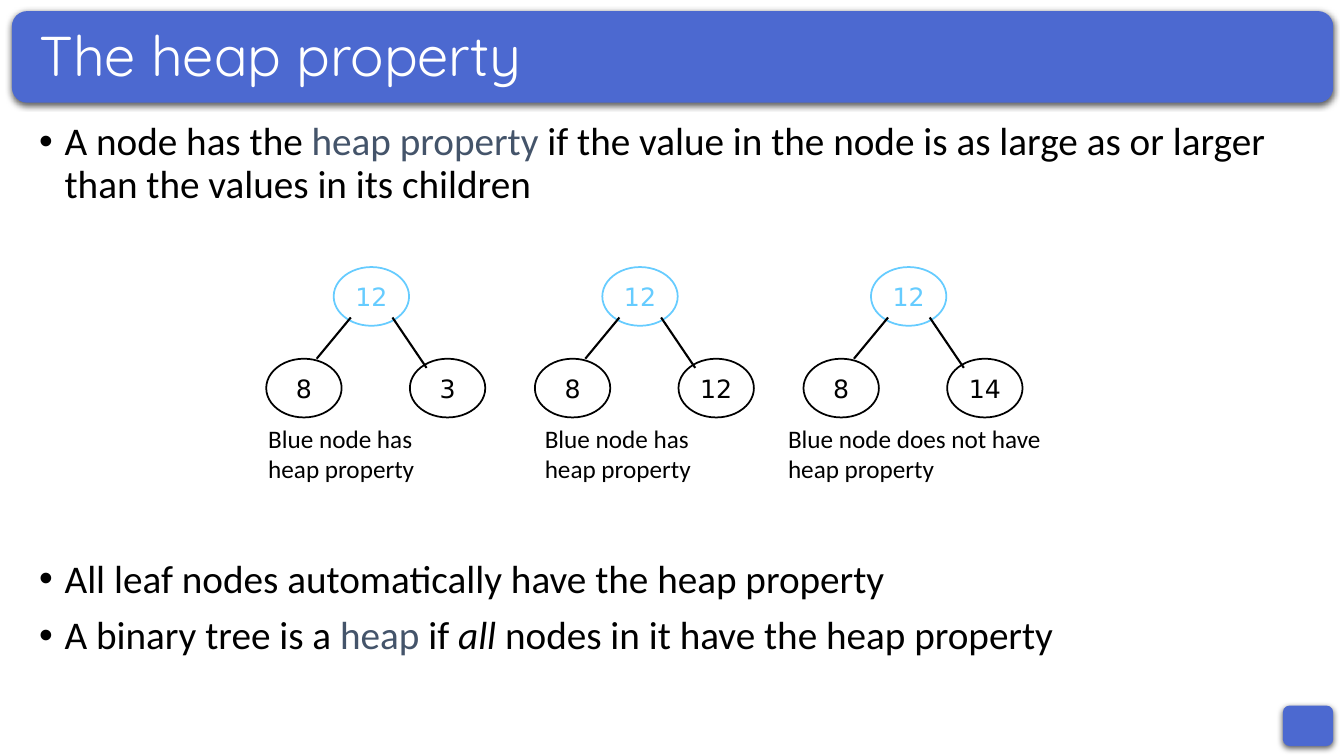
from dataclasses import dataclass

from lxml.etree import SubElement
from pptx import Presentation
from pptx.dml.color import RGBColor
from pptx.enum.shapes import MSO_CONNECTOR as LINE, MSO_SHAPE as SHAPE
from pptx.enum.text import MSO_ANCHOR as ANCHOR, PP_ALIGN as ALIGN
from pptx.oxml import parse_xml
from pptx.oxml.ns import nsdecls, qn
from pptx.util import Cm, Pt


@dataclass(frozen=True)
class Theme:
    bar: str = "4C69D0"
    title: str = "FFFFFF"
    ink: str = "000000"
    term: str = "44546A"
    blue: str = "66CCFF"
    title_font: str = "Quicksand"
    body_font: str = "Calibri"
    node_font: str = "DejaVu Sans"
    title_size: int = 40
    body_size: int = 28
    small_size: int = 18


T = Theme()
NODE_W, NODE_H = 1.9, 1.48
ROOT_Y, CHILD_Y = 6.73, 9.04
ROOT_DX, RIGHT_DX = 1.7, 3.62
EDGES = [(2.13, 8, 1.27, 9.04), (3.18, 8, 4.04, 9.27)]
TREE_X, TREE_STEP = 6.71, 6.77
# left value, right value, caption, caption offset, caption width
TREES = [
    ("8", "3", "Blue node has heap property", -0.2, 5.51),
    ("8", "12", "Blue node has heap property", 0, 5.51),
    ("8", "14", "Blue node does not have heap property", -0.64, 7.19),
]
# space before, runs of text, colour and italic
BULLETS = [
    (0, [("A node has the ", T.ink, False), ("heap property", T.term, False),
         (" if the value in the node is as large as or larger than the values in its children",
          T.ink, False)]),
    (252, [("All leaf nodes automatically have the heap property", T.ink, False)]),
    (10, [("A binary tree is a ", T.ink, False), ("heap", T.term, False),
          (" if ", T.ink, False), ("all", T.ink, True),
          (" nodes in it have the heap property", T.ink, False)]),
]


def add_run(p, text, font, size, color, italic=False):
    r = p.add_run()
    r.text = text
    r.font.name, r.font.size, r.font.italic = font, Pt(size), italic
    r.font.color.rgb = RGBColor.from_string(color)


def add_box(shapes, x, y, w, h):
    """Add an empty wrapping text box and return its text frame."""
    tf = shapes.add_textbox(Cm(x), Cm(y), Cm(w), Cm(h)).text_frame
    tf.word_wrap = True
    return tf


def add_bar(s, x, y, w, h):
    """Add a rounded bar with a soft shadow below it."""
    sp = s.shapes.add_shape(SHAPE.ROUNDED_RECTANGLE, Cm(x), Cm(y), Cm(w), Cm(h))
    sp.fill.solid()
    sp.fill.fore_color.rgb = RGBColor.from_string(T.bar)
    sp.line.fill.background()
    sp.shadow.inherit = False
    effects = sp.element.spPr.find(qn("a:effectLst"))
    effects.append(parse_xml(
        f'<a:outerShdw {nsdecls("a")} blurRad="{Pt(4.5)}" dist="{Pt(1.5)}" dir="5400000" '
        'algn="ctr" rotWithShape="0"><a:srgbClr val="000000"><a:alpha val="63000"/>'
        '</a:srgbClr></a:outerShdw>'))


def add_title(s, text):
    tf = add_box(s.shapes, 0.74, 0.64, 32.41, 1.65)
    tf.vertical_anchor = ANCHOR.MIDDLE
    p = tf.paragraphs[0]
    p.line_spacing = 0.9
    add_run(p, text, T.title_font, T.title_size, T.title)


def add_bullets(s):
    tf = add_box(s.shapes, 0.74, 2.95, 32.41, 14.22)
    for i, (before, runs) in enumerate(BULLETS):
        p = tf.add_paragraph() if i else tf.paragraphs[0]
        p.line_spacing, p.space_before = 0.9, Pt(before)
        pPr = p._p.get_or_add_pPr()
        pPr.set("marL", str(Cm(0.64)))
        pPr.set("indent", str(-Cm(0.64)))
        SubElement(pPr, qn("a:buFont"), typeface="Arial")
        SubElement(pPr, qn("a:buChar"), char="•")
        for text, color, italic in runs:
            add_run(p, text, T.body_font, T.body_size, color, italic)


def add_node(shapes, x, y, value, color):
    sp = shapes.add_shape(SHAPE.OVAL, Cm(x), Cm(y), Cm(NODE_W), Cm(NODE_H))
    sp.fill.background()
    sp.line.color.rgb = RGBColor.from_string(color)
    sp.line.width = Pt(1.25)
    sp.shadow.inherit = False
    tf = sp.text_frame
    tf.word_wrap = False
    tf.vertical_anchor = ANCHOR.MIDDLE
    p = tf.paragraphs[0]
    p.alignment = ALIGN.CENTER
    add_run(p, value, T.node_font, T.small_size, color)


def add_edge(shapes, x1, y1, x2, y2):
    c = shapes.add_connector(LINE.STRAIGHT, Cm(x1), Cm(y1), Cm(x2), Cm(y2))
    c.line.color.rgb = RGBColor.from_string(T.ink)
    c.line.width = Pt(1.5)
    SubElement(c.element.spPr, qn("a:effectLst"))


def add_tree(s, x, left, right, caption, caption_dx, caption_w):
    shapes = s.shapes.add_group_shape().shapes
    add_node(shapes, x + ROOT_DX, ROOT_Y, "12", T.blue)
    add_node(shapes, x, CHILD_Y, left, T.ink)
    add_node(shapes, x + RIGHT_DX, CHILD_Y, right, T.ink)
    for x1, y1, x2, y2 in EDGES:
        add_edge(shapes, x + x1, y1, x + x2, y2)
    tf = add_box(shapes, x + caption_dx, 10.54, caption_w, 1.8)
    add_run(tf.paragraphs[0], caption, T.body_font, T.small_size, T.ink)


def main():
    prs = Presentation()
    prs.slide_width, prs.slide_height = Cm(33.87), Cm(19.05)
    s = prs.slides.add_slide(prs.slide_layouts[6])
    add_bar(s, 32.33, 17.78, 1.27, 1.02)
    add_bar(s, 0.3, 0.28, 33.3, 2.31)
    add_title(s, "The heap property")
    add_bullets(s)
    for i, tree in enumerate(TREES):
        add_tree(s, TREE_X + i * TREE_STEP, *tree)
    prs.save("out.pptx")


if __name__ == "__main__":
    main()
